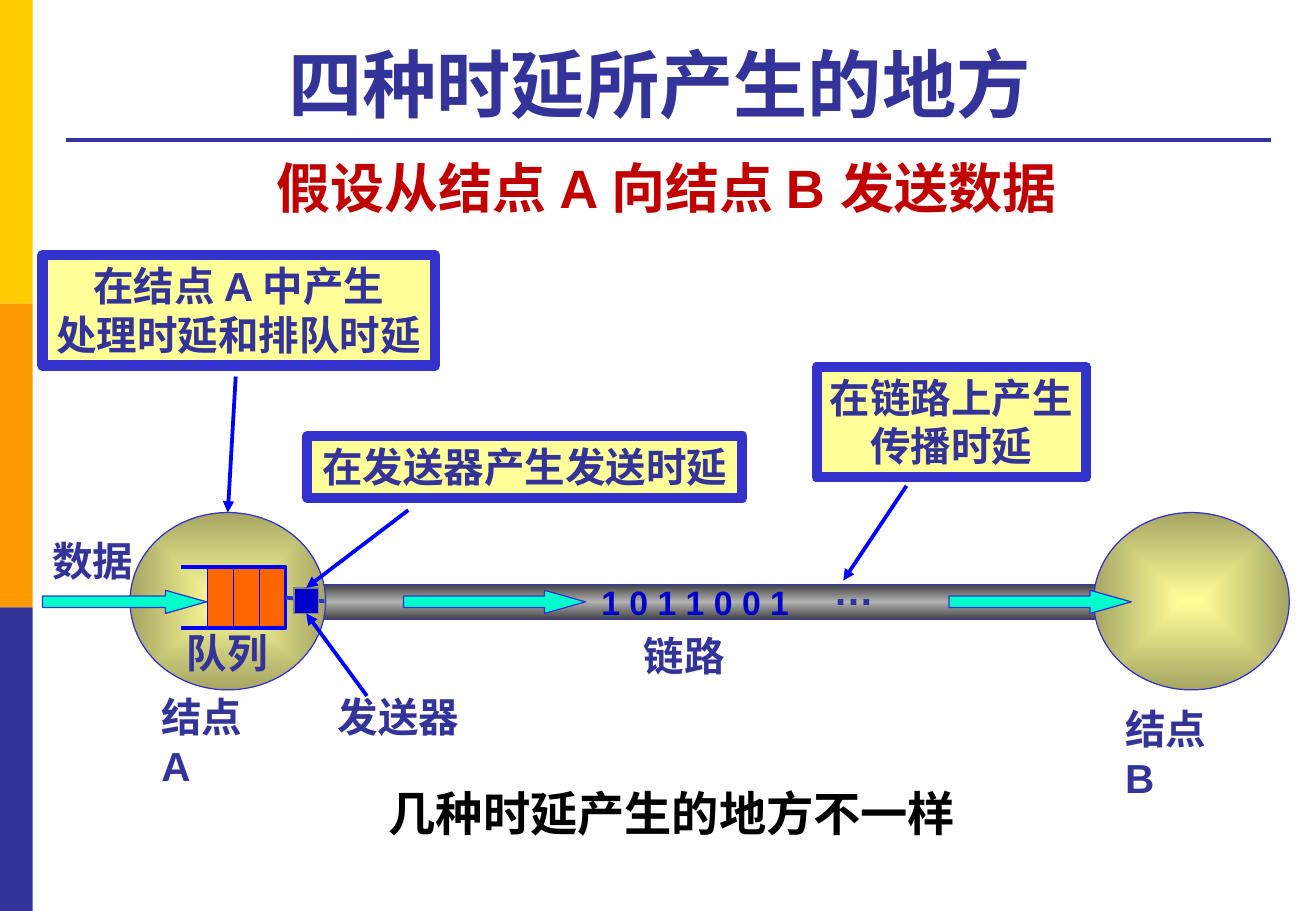
from dataclasses import dataclass

from pptx import Presentation
from pptx import util as u
from pptx.dml.color import RGBColor
from pptx.enum import shapes, text
from pptx.oxml import parse_xml
from pptx.oxml.ns import nsdecls

UNIT = 0.1  # inches per grid column and row
NAVY, EDGE, BLUE, INK = "333399", "3333CC", "0000FF", "0000CC"
PALE, CYAN = "FFFF99", "00FFCC"
KIND = shapes.MSO_SHAPE
LEFT, MID = text.PP_ALIGN.LEFT, text.PP_ALIGN.CENTER


@dataclass
class Box:
    """Place on the grid, in columns and rows."""
    x: float
    y: float
    w: float
    h: float


@dataclass
class Label:
    box: Box
    words: str
    size: int = 24
    tint: str = NAVY
    align: int = LEFT
    wrap: bool = False


@dataclass
class Arrow:
    start: tuple
    end: tuple
    goal: object = None
    site: int = 0


def grid(*cells: float) -> list:
    return [u.Inches(c * UNIT) for c in cells]


def hue(code: str) -> RGBColor:
    return RGBColor.from_string(code)


def put(target, **values) -> None:
    for key, value in values.items():
        setattr(target, key, value)


def trim(shape, tint: str, width: float) -> None:
    shape.line.color.rgb = hue(tint)
    shape.line.width = u.Pt(width)


def draw(kind, box: Box, fill: str, edge: str = "", width: float = 0.75):
    shape = page.add_shape(kind, *grid(box.x, box.y, box.w, box.h))
    shape.shadow.inherit = False
    shape.fill.solid()
    shape.fill.fore_color.rgb = hue(fill)
    if edge:
        trim(shape, edge, width)
    else:
        shape.line.fill.background()
    return shape


def blend(shape, stops: list, mode: str) -> None:
    """Swap the plain fill for a gradient."""
    marks = "".join(f'<a:gs pos="{pos * 1000}"><a:srgbClr val="{code}"/></a:gs>'
                    for pos, code in stops)
    solid = shape.fill._xPr.solidFill
    solid.getparent().replace(solid, parse_xml(
        f'<a:gradFill {nsdecls("a")} rotWithShape="1">'
        f'<a:gsLst>{marks}</a:gsLst>{mode}</a:gradFill>'))


def link(start: tuple, end: tuple, tint: str, width: float = 2.25,
         tip: bool = False):
    line = page.add_connector(shapes.MSO_CONNECTOR.STRAIGHT,
                              *grid(*start, *end))
    trim(line, tint, width)
    line._element.spPr.append(parse_xml(f'<a:effectLst {nsdecls("a")}/>'))
    if tip:
        line.line._get_or_add_ln().append(
            parse_xml(f'<a:tailEnd {nsdecls("a")} type="triangle"/>'))
    return line


def write(frame, words: str, size: int, tint: str, align) -> None:
    for i, row in enumerate(words.split("\n")):
        para = frame.paragraphs[0] if i == 0 else frame.add_paragraph()
        para.alignment = align
        run = para.add_run()
        run.text = row
        put(run.font, name="Arial", size=u.Pt(size), bold=True)
        run.font.color.rgb = hue(tint)


def note(label: Label) -> None:
    box = label.box
    frame = page.add_textbox(*grid(box.x, box.y, box.w, box.h)).text_frame
    put(frame, word_wrap=label.wrap,
        auto_size=text.MSO_AUTO_SIZE.SHAPE_TO_FIT_TEXT)
    write(frame, label.words, label.size, label.tint, label.align)


def callout(box: Box, words: str) -> None:
    frame = draw(KIND.RECTANGLE, box, PALE, EDGE, 6).text_frame
    put(frame, word_wrap=False, vertical_anchor=text.MSO_ANCHOR.TOP,
        auto_size=text.MSO_AUTO_SIZE.SHAPE_TO_FIT_TEXT)
    write(frame, words, 24, NAVY, MID)


deck = Presentation()
put(deck, slide_width=u.Inches(10.83), slide_height=u.Inches(7.5))
slide = deck.slides.add_slide(deck.slide_layouts[5])
page = slide.shapes

# Side bars, title and rule
for i, tint in enumerate(("FFCC00", "FF9900", NAVY)):
    draw(KIND.RECTANGLE, Box(0, 25 * i, 2.7, 25), tint)
title = page.title
put(title, **dict(zip(("left", "top", "width", "height"),
                      grid(5.5, 2.1, 99, 8.9))))
put(title.text_frame, vertical_anchor=text.MSO_ANCHOR.BOTTOM, word_wrap=True)
write(title.text_frame, "四种时延所产生的地方 ", 44, NAVY, MID)
link((5.4, 11.5), (104.6, 11.5), NAVY)

# Link pipe and the two nodes
pipe = draw(KIND.RECTANGLE, Box(25.7, 48.1, 65.4, 2.9), "B2B2B2", EDGE)
blend(pipe, [(0, "404040"), (50, "B2B2B2"), (100, "404040")],
      '<a:lin ang="5400000" scaled="1"/>')
nodes = [draw(KIND.OVAL, Box(x, 42.2, 16.1, 14.6), PALE, EDGE)
         for x in (10.7, 90)]
for node in nodes:
    blend(node, [(0, PALE), (100, "A6A664")],
          '<a:path path="shape"><a:fillToRect l="50000" t="50000" '
          'r="50000" b="50000"/></a:path>')

# Queue with its cells
cells = Box(17.1, 46.7, 6.4, 5)
right, low = cells.x + cells.w, cells.y + cells.h
queue = draw(KIND.RECTANGLE, cells, "FF6600", BLUE)
pen = page.build_freeform(*grid(14.9, cells.y))
pen.add_line_segments([grid(right, cells.y), grid(right, low),
                       grid(14.9, low)], close=False)
rail = pen.convert_to_shape()
rail.shadow.inherit = False
rail.fill.background()
trim(rail, BLUE, 2.25)
for i in range(3):
    x = cells.x + cells.w / 3 * i
    link((x, cells.y), (x, low), BLUE, 0.75)

# Sender and flow arrows
wire = link((right, 49.4), (26.7, 49.5), EDGE)
wire.begin_connect(queue, 3)
sender = draw(KIND.RECTANGLE, Box(24.2, 48.4, 2, 2.1), INK, "808080")
for x, w in ((33.2, 15), (3.5, 13.5), (78.1, 15)):
    flow = draw(KIND.RIGHT_ARROW, Box(x, 48.6, w, 1.9), CYAN, EDGE)
    flow.adjustments[1] = 1.78

# Callouts
callout(Box(67.2, 30.2, 22.2, 9.1), "在链路上产生\n传播时延")
callout(Box(25.3, 35.9, 35.8, 5.1), "在发送器产生发送时延")
callout(Box(3.5, 21, 32.3, 9.1), "在结点 A 中产生\n处理时延和排队时延")

# Pointers
for arrow in (Arrow((74.6, 40), (69.4, 47.8)),
              Arrow((33.6, 42), (25.2, 48.4), sender),
              Arrow((30.2, 57.3), (25.2, 50.5), sender, 2),
              Arrow((19.4, 31), (18.7, 42.2), nodes[0])):
    line = link(arrow.start, arrow.end, BLUE, tip=True)
    if arrow.goal is not None:
        line.end_connect(arrow.goal, arrow.site)

# Labels
for label in (
        Label(Box(48.5, 47.4, 17.6, 4.4), "1 0 1 1 0 0 1", 20, INK),
        Label(Box(67.6, 46, 5.4, 5), "…"),
        Label(Box(26.8, 56.5, 12.1, 5), "发送器"),
        Label(Box(14.4, 51.2, 8.8, 5), "队列"),
        Label(Box(91.6, 57.5, 10.5, 9), "结点 B", wrap=True),
        Label(Box(12.3, 56.5, 10.5, 9), "结点 A", wrap=True),
        Label(Box(3.3, 43.6, 8.8, 5), "数据"),
        Label(Box(52, 51.5, 8.8, 5), "链路"),
        Label(Box(14.9, 12.2, 79.9, 6.4), "假设从结点 A 向结点 B 发送数据",
              32, "C00000", MID, True),
        Label(Box(30.5, 64.1, 49.6, 5.7), "几种时延产生的地方不一样",
              28, "000000", MID, True)):
    note(label)

deck.save("out.pptx")
